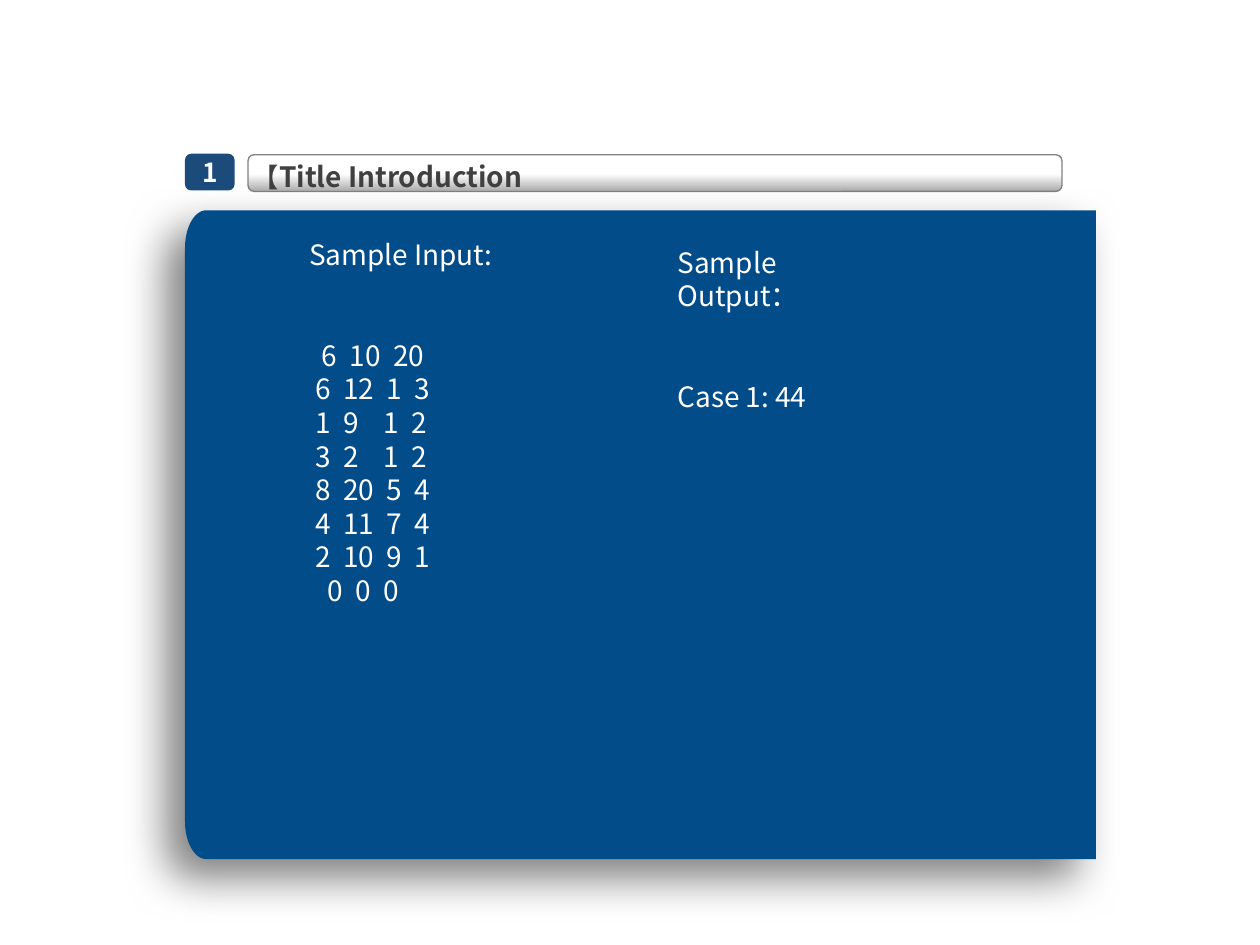
from math import cos, radians, sin

from lxml.etree import SubElement
from pptx import Presentation
from pptx.dml.color import RGBColor
from pptx.enum.shapes import MSO_SHAPE
from pptx.enum.text import MSO_ANCHOR, MSO_AUTO_SIZE, PP_ALIGN
from pptx.oxml.ns import qn
from pptx.util import Cm, Pt

FONT = "Noto Sans CJK SC"
COLORS = {
    "panel": "024C89", "badge": "1B4B7B", "outline": "808080", "title": "404040",
    "white": "FFFFFF", "bar_shade": "ABABAB", "shadow": "000000",
}
NUMBER = "1"
TITLE = ("【", "Title Introduction")
INPUT_HEADING = "Sample Input:"
INPUT_ROWS = [
    (6, 10, 20),
    (6, 12, 1, 3),
    (1, 9, 1, 2),
    (3, 2, 1, 2),
    (8, 20, 5, 4),
    (4, 11, 7, 4),
    (2, 10, 9, 1),
    (0, 0, 0),
]
OUTPUT_LINES = ["Sample Output：", "Case 1: 44"]
FIRST_INDENT, DATA_INDENT, LAST_INDENT = 0.26, 0.12, 0.38
NARROW_GAP, WIDE_GAP = 360, 1080
LINE_HEIGHT = 19.2
BAR_BOX = (5, 3.12, 16.41, 0.74)
TITLE_BOX = (4.72, 3.1, 17.12, 2.26)
BADGE_BOX = (3.73, 3.1, 1, 0.74)
PANEL_BOX = (3.73, 4.24, 18.36, 13.08)
PANEL_CORNER = (0.43, 0.76)
INPUT_BOX = (5.23, 4.66, 6.65, 7.77)
OUTPUT_BOX = (13.41, 4.81, 5.18, 3)


def color(name):
    return RGBColor.from_string(COLORS[name])


def lengths(values):
    return [Cm(value) for value in values]


def place(shape, box):
    shape.left, shape.top, shape.width, shape.height = lengths(box)


def set_insets(text_frame, left, top, right, bottom):
    text_frame.margin_left, text_frame.margin_top = Cm(left), Cm(top)
    text_frame.margin_right, text_frame.margin_bottom = Cm(right), Cm(bottom)


def format_run(run, size, color_name, bold=False):
    run.font.size, run.font.bold, run.font.name = Pt(size), bold, FONT
    run.font.color.rgb = color(color_name)
    SubElement(run._r.get_or_add_rPr(), qn("a:ea"), typeface=FONT)


def add_rounded(slide, box):
    shape = slide.shapes.add_shape(MSO_SHAPE.ROUNDED_RECTANGLE, *lengths(box))
    shape.shadow.inherit = False
    return shape


def add_bar(slide):
    bar = add_rounded(slide, BAR_BOX)
    bar.fill.gradient()
    bar.fill.gradient_angle = 90
    stops = zip(bar.fill.gradient_stops, (("bar_shade", 0), ("white", 0.48)))
    for stop, (name, position) in stops:
        stop.color.rgb, stop.position = color(name), position
    bar.line.color.rgb, bar.line.width = color("outline"), Pt(0.75)
    return bar


def add_badge(slide):
    badge = add_rounded(slide, BADGE_BOX)
    badge.fill.solid()
    badge.fill.fore_color.rgb = color("badge")
    badge.line.fill.background()
    frame = badge.text_frame
    frame.text, frame.word_wrap = NUMBER, False
    frame.vertical_anchor = MSO_ANCHOR.MIDDLE
    set_insets(frame, 0.18, 0.1, 0.18, 0.1)
    frame.paragraphs[0].alignment = PP_ALIGN.CENTER
    format_run(frame.paragraphs[0].runs[0], 15, "white", bold=True)


def add_panel(slide):
    left, top, width, height = PANEL_BOX
    radius_x, radius_y = PANEL_CORNER
    right, bottom = left + width, top + height
    corners = ((bottom - radius_y, 90), (top + radius_y, 180))
    points = [(right, bottom)]
    for center_y, start in corners:
        for angle in range(start, start + 91, 6):
            points.append((left + radius_x + radius_x * cos(radians(angle)),
                           center_y + radius_y * sin(radians(angle))))
    builder = slide.shapes.build_freeform(Cm(right), Cm(top))
    builder.add_line_segments([lengths(point) for point in points])
    panel = builder.convert_to_shape()
    panel.fill.solid()
    panel.fill.fore_color.rgb = color("panel")
    panel.line.fill.background()
    panel.shadow.inherit = False
    effects = panel.element.spPr.find(qn("a:effectLst"))
    shadow = SubElement(effects, qn("a:outerShdw"), blurRad=str(Pt(25)), dist=str(Pt(15)),
                        dir=str(135 * 60000), algn="tr", rotWithShape="0")
    shade = SubElement(shadow, qn("a:srgbClr"), val=COLORS["shadow"])
    SubElement(shade, qn("a:alpha"), val="50000")
    return panel


def prepare_text(placeholder, box, insets):
    place(placeholder, box)
    frame = placeholder.text_frame
    frame.auto_size, frame.vertical_anchor = MSO_AUTO_SIZE.NONE, MSO_ANCHOR.TOP
    frame.word_wrap = True
    set_insets(frame, *insets)
    return frame


def fill_title(title):
    frame = prepare_text(title, TITLE_BOX, (0.38, 0.11, 0.25, 0.13))
    paragraph = frame.paragraphs[0]
    paragraph.alignment, paragraph.line_spacing = PP_ALIGN.LEFT, Pt(LINE_HEIGHT)
    for text, size in zip(TITLE, (15, 16)):
        run = paragraph.add_run()
        run.text = text
        format_run(run, size, "title", bold=True)


def fill_body(body, box, insets, lines):
    frame = prepare_text(body, box, insets)
    frame.text = "\n".join("" for _ in lines)
    for index, (paragraph, (indent, parts)) in enumerate(zip(frame.paragraphs, lines)):
        paragraph.alignment, paragraph.line_spacing = PP_ALIGN.LEFT, Pt(LINE_HEIGHT)
        paragraph.space_before = Pt(2 * LINE_HEIGHT if index == 1 else 0)
        paragraph.space_after = Pt(0)
        properties = paragraph._p.get_or_add_pPr()
        properties.set("marL", str(Cm(indent)))
        properties.set("indent", "0")
        SubElement(properties, qn("a:buNone"))
        for text, spacing in parts:
            run = paragraph.add_run()
            run.text = text
            format_run(run, 16, "white")
            run._r.get_or_add_rPr().set("spc", str(spacing))


def row_parts(row):
    parts = [(str(row[0]), 0)]
    for column, number in enumerate(row[1:], start=1):
        after_short = len(row) == 4 and column == 2 and row[1] < 10
        parts += [(" ", WIDE_GAP if after_short else NARROW_GAP), (str(number), 0)]
    return parts


def main():
    """Build the sample input and output slide."""
    presentation = Presentation()
    presentation.slide_width, presentation.slide_height = Cm(25.4), Cm(19.05)
    slide = presentation.slides.add_slide(presentation.slide_layouts[3])
    title, input_body, output_body = slide.placeholders
    title.element.addprevious(add_bar(slide).element)
    fill_title(title)
    input_body.element.addprevious(add_panel(slide).element)
    add_badge(slide)
    indents = [FIRST_INDENT] + [DATA_INDENT] * (len(INPUT_ROWS) - 2) + [LAST_INDENT]
    input_lines = [(0, [(INPUT_HEADING, 0)])]
    input_lines += [(indent, row_parts(row)) for indent, row in zip(indents, INPUT_ROWS)]
    output_lines = [(0, [(line, 0)]) for line in OUTPUT_LINES]
    fill_body(input_body, INPUT_BOX, (1, 0.13, 0.25, 0.13), input_lines)
    fill_body(output_body, OUTPUT_BOX, (0.25, 0.13, 1.3, 0.13), output_lines)
    presentation.save("out.pptx")


if __name__ == "__main__":
    main()
